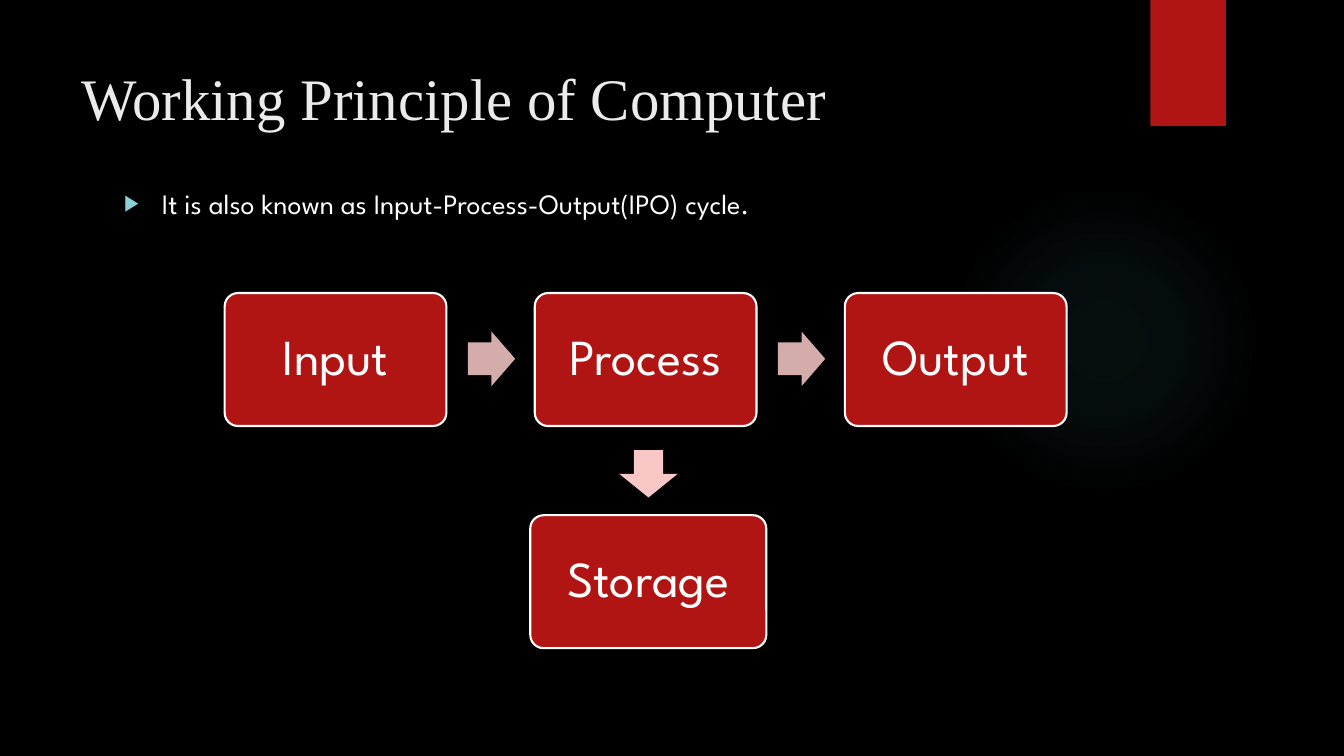
from dataclasses import dataclass

from lxml.etree import SubElement
from pptx import Presentation
from pptx.dml.color import RGBColor
from pptx.enum.shapes import MSO_SHAPE
from pptx.enum.text import MSO_ANCHOR, MSO_AUTO_SIZE, PP_ALIGN
from pptx.oxml import parse_xml
from pptx.oxml.ns import nsdecls, qn
from pptx.shapes.autoshape import Shape
from pptx.slide import Slide
from pptx.text.text import Font
from pptx.util import Pt


@dataclass(frozen=True)
class Theme:
    background: str = "000000"
    red: str = "B01513"
    white: str = "FFFFFF"
    title_color: str = "EBEBEB"
    bullet: str = "8AD0D6"
    glow: str = "50B9C1"
    flow_arrow: str = "D4ACAB"
    storage_arrow: str = "F9C7C6"
    title_font: str = "Times New Roman"
    body_font: str = "League Spartan"
    title_size: float = 42
    body_size: float = 20
    box_size: float = 36


@dataclass(frozen=True)
class Frame:
    left: float
    top: float
    width: float
    height: float


@dataclass(frozen=True)
class Stage:
    label: str
    frame: Frame


@dataclass(frozen=True)
class Arrow:
    frame: Frame
    color: str
    shaft: float
    rotation: float = 0


THEME = Theme()
STEP = 221.5
STAGES = [
    Stage(label, Frame(160.5 + index * STEP, 209.3, 158.4, 95))
    for index, label in enumerate(("Input", "Process", "Output"))
] + [Stage("Storage", Frame(378.8, 368, 168.6, 95))]
ARROWS = [
    Arrow(Frame(334.2 + index * STEP, 236.9, 33.8, 38.9), THEME.flow_arrow, 0.6)
    for index in range(2)
] + [Arrow(Frame(446.3, 317.6, 33.8, 41.8), THEME.storage_arrow, 0.5, 90)]


def rgb(color: str) -> RGBColor:
    return RGBColor.from_string(color)


def set_font(font: Font, name: str, size: float, color: str) -> None:
    font.name = name
    font.size = Pt(size)
    font.color.rgb = rgb(color)


def place(shape: Shape, frame: Frame) -> None:
    shape.left, shape.top = Pt(frame.left), Pt(frame.top)
    shape.width, shape.height = Pt(frame.width), Pt(frame.height)


def add_filled(slide: Slide, kind: MSO_SHAPE, frame: Frame, color: str) -> Shape:
    shape = slide.shapes.add_shape(
        kind, Pt(frame.left), Pt(frame.top), Pt(frame.width), Pt(frame.height)
    )
    shape.shadow.inherit = False
    shape.fill.solid()
    shape.fill.fore_color.rgb = rgb(color)
    shape.line.fill.background()
    return shape


def add_glow(slide: Slide) -> None:
    glow = add_filled(
        slide, MSO_SHAPE.OVAL, Frame(677.5, 131.8, 221.8, 221.8), THEME.glow
    )
    stops = "".join(
        f'<a:gs pos="{position}000"><a:srgbClr val="{THEME.glow}">'
        f'<a:alpha val="{opacity}000"/></a:srgbClr></a:gs>'
        for position, opacity in ((0, 7), (36, 6), (69, 0))
    )
    gradient = parse_xml(
        f'<a:gradFill {nsdecls("a")} rotWithShape="1"><a:gsLst>{stops}</a:gsLst>'
        '<a:path path="circle"><a:fillToRect l="50000" t="50000" r="50000" b="50000"/>'
        "</a:path></a:gradFill>"
    )
    properties = glow.element.spPr
    properties.replace(properties.find(qn("a:solidFill")), gradient)


def fill_title(slide: Slide) -> None:
    title = slide.shapes.title
    place(title, Frame(51, 36, 741, 110))
    text_frame = title.text_frame
    text_frame.text = "Working Principle of Computer"
    text_frame.auto_size = MSO_AUTO_SIZE.NONE
    text_frame.vertical_anchor = MSO_ANCHOR.TOP
    text_frame.margin_top = Pt(8)
    paragraph = text_frame.paragraphs[0]
    paragraph.alignment = PP_ALIGN.LEFT
    set_font(paragraph.font, THEME.title_font, THEME.title_size, THEME.title_color)


def fill_body(slide: Slide) -> None:
    body = slide.placeholders[1]
    place(body, Frame(81.4, 129.6, 704, 330.5))
    text_frame = body.text_frame
    text_frame.text = "It is also known as Input-Process-Output(IPO) cycle."
    text_frame.auto_size = MSO_AUTO_SIZE.NONE
    paragraph = text_frame.paragraphs[0]
    paragraph.space_before = Pt(10)
    set_font(paragraph.font, THEME.body_font, THEME.body_size, THEME.white)
    properties = paragraph._p.get_or_add_pPr()
    properties.set("marL", str(Pt(27)))
    properties.set("indent", str(Pt(-27)))
    bullet = [
        parse_xml(
            f'<a:buClr {nsdecls("a")}><a:srgbClr val="{THEME.bullet}"/></a:buClr>'
        ),
        parse_xml(f'<a:buSzPct {nsdecls("a")} val="80000"/>'),
        parse_xml(f'<a:buChar {nsdecls("a")} char="▶"/>'),
    ]
    default_run = properties.find(qn("a:defRPr"))
    for part in bullet:
        default_run.addprevious(part)


def add_stage(slide: Slide, stage: Stage) -> None:
    box = add_filled(slide, MSO_SHAPE.ROUNDED_RECTANGLE, stage.frame, THEME.red)
    box.adjustments[0] = 0.1
    box.line.color.rgb = rgb(THEME.white)
    box.line.width = Pt(1.5)
    text_frame = box.text_frame
    text_frame.text = stage.label
    text_frame.word_wrap = True
    text_frame.vertical_anchor = MSO_ANCHOR.MIDDLE
    paragraph = text_frame.paragraphs[0]
    paragraph.alignment = PP_ALIGN.CENTER
    paragraph.line_spacing = 0.9
    set_font(paragraph.font, THEME.body_font, THEME.box_size, THEME.white)


def add_arrow(slide: Slide, arrow: Arrow) -> None:
    shape = add_filled(slide, MSO_SHAPE.RIGHT_ARROW, arrow.frame, arrow.color)
    shape.adjustments[0] = arrow.shaft
    shape.adjustments[1] = 0.5
    shape.rotation = arrow.rotation


def main() -> None:
    presentation = Presentation()
    presentation.slide_width, presentation.slide_height = Pt(960), Pt(540)
    slide = presentation.slides.add_slide(presentation.slide_layouts[1])
    slide.background.fill.solid()
    slide.background.fill.fore_color.rgb = rgb(THEME.background)
    add_glow(slide)
    add_filled(slide, MSO_SHAPE.RECTANGLE, Frame(821.7, 0, 54, 90), THEME.red)
    fill_title(slide)
    fill_body(slide)
    for stage in STAGES:
        add_stage(slide, stage)
    for arrow in ARROWS:
        add_arrow(slide, arrow)
    presentation.save("out.pptx")


if __name__ == "__main__":
    main()
